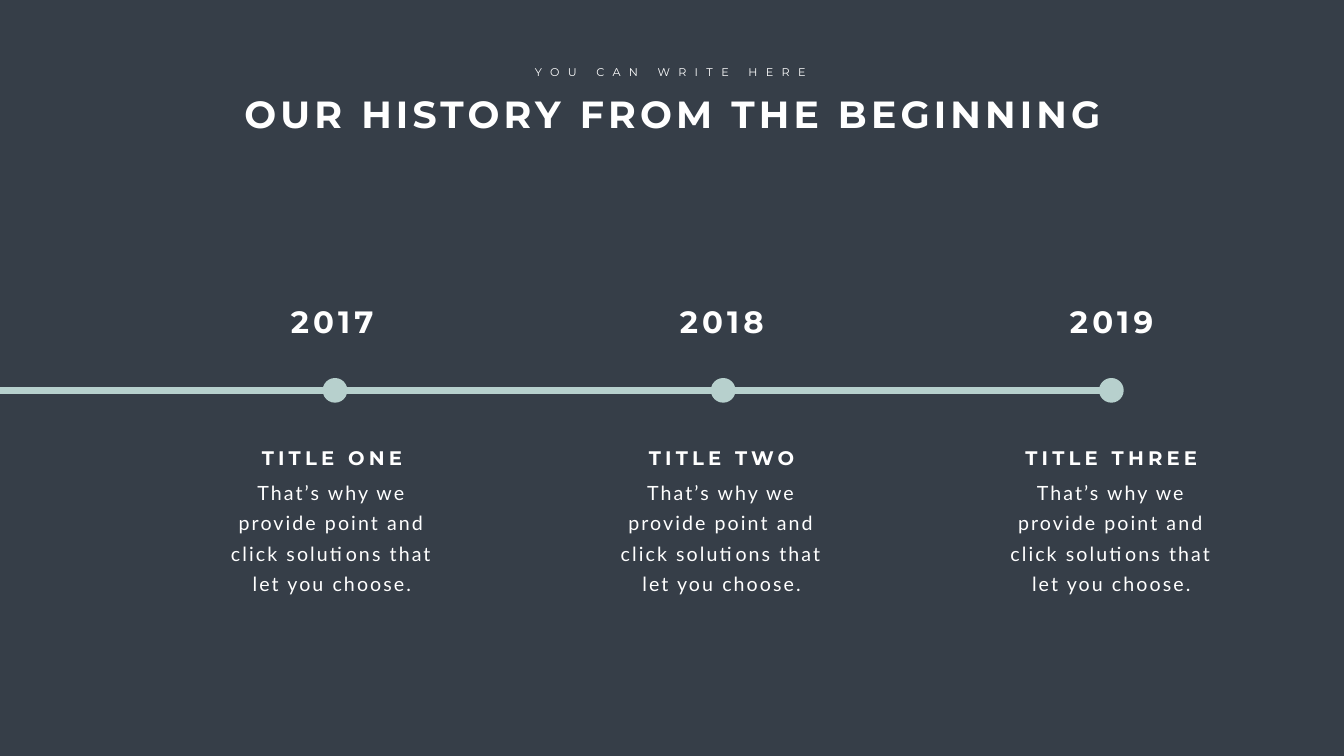
import dataclasses

import pptx
import pptx.dml.color
import pptx.enum.shapes
import pptx.enum.text
import pptx.oxml.ns
import pptx.util
from lxml import etree
from pptx.shapes.base import BaseShape
from pptx.slide import Slide

PX = 9144  # EMU per px, 100 px to the inch
WHITE = "FFFFFF"
MINT = "B7D0CD"
SLATE = "363E48"

COLUMN_STEP = 773
COLUMN_LEFT, COLUMN_WIDTH = 438, 441
YEAR_LEFT, YEAR_WIDTH = 496, 326
DOT_LEFT, DOT_TOP, DOT_SIZE, DOT_STEP = 640, 750, 49, 770
LINE_Y = 774


@dataclasses.dataclass(frozen=True)
class Style:
    font: str
    size: int
    bold: bool
    tracking: int  # points between letters
    line_height: int | None = None  # points
    wrap: bool = True


@dataclasses.dataclass(frozen=True)
class Milestone:
    year: str
    heading: str
    description: str


HEADLINE = Style("Montserrat", 54, True, 6, wrap=False)
KICKER = Style("Montserrat", 16, False, 12, wrap=False)
YEAR = Style("Montserrat", 44, True, 6)
HEADING = Style("Montserrat", 28, True, 6)
DESCRIPTION = Style("Lato", 28, False, 3, line_height=43)

PITCH = "That’s why we provide point and click solutions that let you choose."
MILESTONES = [
    Milestone("2017", "TITLE ONE", PITCH),
    Milestone("2018", "TITLE TWO", PITCH),
    Milestone("2019", "TITLE THREE", PITCH),
]


def px(length: int) -> pptx.util.Emu:
    return pptx.util.Emu(length * PX)


def color(value: str) -> pptx.dml.color.RGBColor:
    return pptx.dml.color.RGBColor.from_string(value)


def write(shape: BaseShape, text: str, style: Style) -> None:
    """Fill a shape with one centred paragraph."""
    frame = shape.text_frame
    frame.text = text
    frame.word_wrap = style.wrap
    frame.auto_size = pptx.enum.text.MSO_AUTO_SIZE.SHAPE_TO_FIT_TEXT
    frame.vertical_anchor = pptx.enum.text.MSO_ANCHOR.TOP
    paragraph = frame.paragraphs[0]
    paragraph.alignment = pptx.enum.text.PP_ALIGN.CENTER
    if style.line_height:
        paragraph.line_spacing = pptx.util.Pt(style.line_height)
    font = paragraph.font
    font.name = style.font
    font.size = pptx.util.Pt(style.size)
    font.bold = style.bold
    font.color.rgb = color(WHITE)
    font._rPr.set("spc", str(style.tracking * 100))


def add_text(slide: Slide, left: int, top: int, width: int, height: int,
             text: str, style: Style) -> None:
    box = slide.shapes.add_textbox(px(left), px(top), px(width), px(height))
    write(box, text, style)


def add_line(slide: Slide, end_x: int) -> None:
    line = slide.shapes.add_connector(
        pptx.enum.shapes.MSO_CONNECTOR.STRAIGHT,
        px(0), px(LINE_Y), px(end_x), px(LINE_Y))
    line.line.color.rgb = color(MINT)
    line.line.width = pptx.util.Pt(10)
    etree.SubElement(line._element.spPr, pptx.oxml.ns.qn("a:effectLst"))


def add_dot(slide: Slide, left: int) -> None:
    dot = slide.shapes.add_shape(
        pptx.enum.shapes.MSO_SHAPE.OVAL,
        px(left), px(DOT_TOP), px(DOT_SIZE), px(DOT_SIZE))
    dot.shadow.inherit = False
    dot.fill.solid()
    dot.fill.fore_color.rgb = color(MINT)
    dot.line.fill.background()


def add_milestone(slide: Slide, index: int, milestone: Milestone) -> None:
    shift = index * COLUMN_STEP
    left = COLUMN_LEFT + shift
    add_dot(slide, DOT_LEFT + index * DOT_STEP)
    add_text(slide, YEAR_LEFT + shift, 595, YEAR_WIDTH, 84, milestone.year, YEAR)
    add_text(slide, left, 880, COLUMN_WIDTH, 57, milestone.heading, HEADING)
    add_text(slide, left, 937, COLUMN_WIDTH, 246, milestone.description, DESCRIPTION)


def main() -> None:
    deck = pptx.Presentation()
    deck.slide_width, deck.slide_height = px(2666), px(1500)
    slide = deck.slides.add_slide(deck.slide_layouts[5])
    slide.background.fill.solid()
    slide.background.fill.fore_color.rgb = color(SLATE)

    # Header
    headline = slide.shapes.title
    headline.left, headline.top = px(461), px(174)
    headline.width, headline.height = px(1748), px(101)
    write(headline, "OUR HISTORY FROM THE BEGINNING", HEADLINE)
    add_text(slide, 1041, 124, 578, 37, "YOU CAN WRITE HERE", KICKER)

    # Timeline, ending inside the last dot
    add_line(slide, DOT_LEFT + (len(MILESTONES) - 1) * DOT_STEP + DOT_SIZE // 2)
    for index, milestone in enumerate(MILESTONES):
        add_milestone(slide, index, milestone)

    deck.save("out.pptx")


if __name__ == "__main__":
    main()
